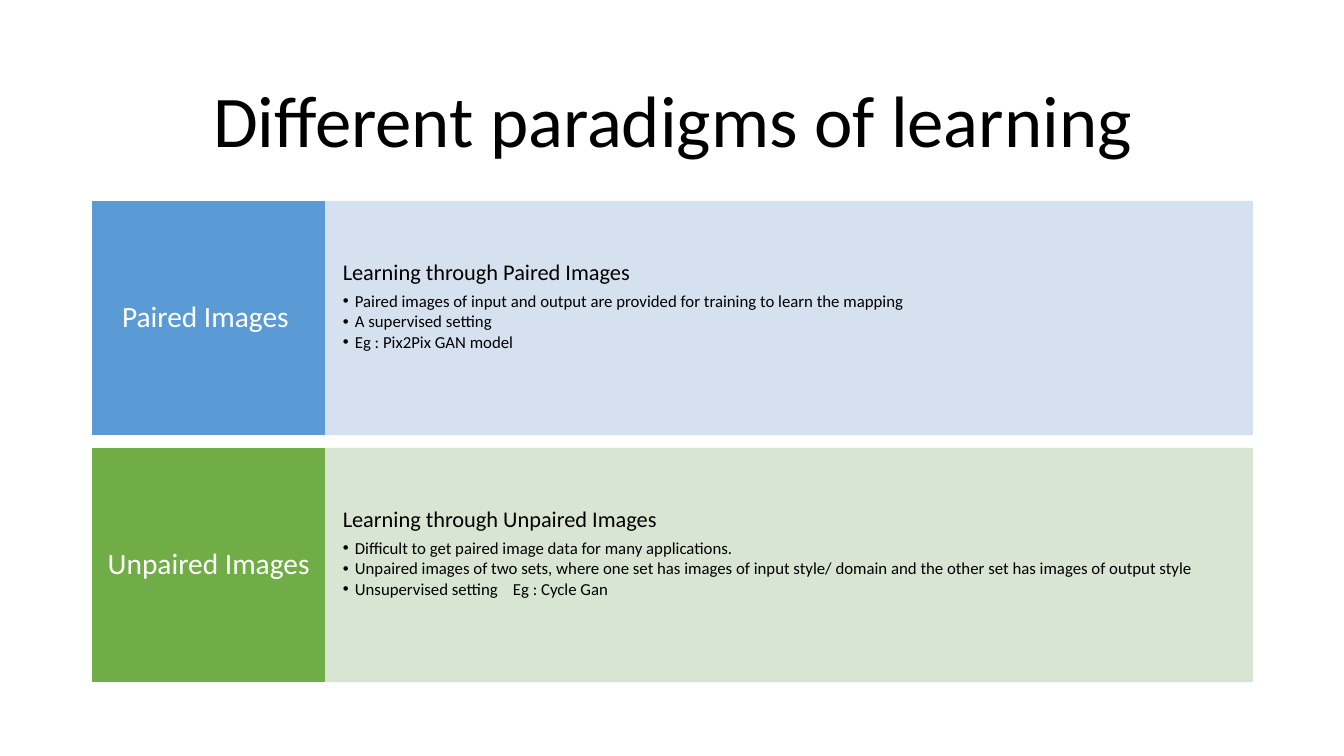
from lxml.etree import SubElement
from pptx import Presentation
from pptx.dml.color import RGBColor
from pptx.enum.shapes import MSO_SHAPE
from pptx.enum.text import MSO_ANCHOR, PP_ALIGN
from pptx.oxml.ns import qn
from pptx.util import Inches, Pt

BLACK = RGBColor(0x00, 0x00, 0x00)
WHITE = RGBColor(0xFF, 0xFF, 0xFF)
BLUE = RGBColor(0x5B, 0x9B, 0xD5)
GREEN = RGBColor(0x70, 0xAD, 0x47)
PALE_BLUE = RGBColor(0xD2, 0xDE, 0xEF)
PALE_GREEN = RGBColor(0xD5, 0xE3, 0xCF)

LEFT, TOP = 0.92, 2
COL, ROW = 2.3, 2.45
HEIGHT = 2.31

TITLE = {"size": Pt(52), "color": BLACK}
LABEL = {"size": Pt(21), "color": WHITE}
HEAD = {"size": Pt(16), "color": BLACK}
ITEM = {"size": Pt(12), "color": BLACK}

PANELS = [
    ("Paired Images ", BLUE, PALE_BLUE, "Learning through Paired Images", [
        "Paired images of input and output are provided for training to learn the mapping",
        "A supervised setting",
        "Eg : Pix2Pix GAN model",
    ]),
    ("Unpaired Images", GREEN, PALE_GREEN, "Learning through Unpaired Images", [
        "Difficult to get paired image data for many applications.",
        "Unpaired images of two sets, where one set has images of input style/ domain "
        "and the other set has images of output style",
        "Unsupervised setting    Eg : Cycle Gan",
    ]),
]


class Board:
    """Holds the slide, its font and a grid of five columns."""

    def __init__(self, slide, face="Calibri"):
        self.slide = slide
        self.face = face

    def place(self, col, row, span):
        return (Inches(LEFT + col * COL), Inches(TOP + row * ROW),
                Inches(span * COL), Inches(HEIGHT))

    def frame(self, shape, side, edge, anchor):
        """Set wrapping, insets and anchor; return the text frame."""
        frame = shape.text_frame
        form = {"word_wrap": True, "vertical_anchor": anchor,
                "margin_left": Inches(side), "margin_right": Inches(side),
                "margin_top": Inches(edge), "margin_bottom": Inches(edge)}
        for name, value in form.items():
            setattr(frame, name, value)
        return frame

    def letter(self, para, text, style, align=PP_ALIGN.LEFT, after=0):
        """Fill a paragraph with one styled run."""
        form = {"alignment": align, "line_spacing": 0.9,
                "space_before": Pt(0), "space_after": Pt(after)}
        for name, value in form.items():
            setattr(para, name, value)
        run = para.add_run()
        run.text = text
        run.font.name = self.face
        run.font.size = style["size"]
        run.font.color.rgb = style["color"]

    def bullet(self, para):
        props = para._p.get_or_add_pPr()
        props.set("marL", str(Inches(0.12)))
        props.set("indent", str(Inches(-0.12)))
        SubElement(props, qn("a:buFont"), typeface="Arial")
        SubElement(props, qn("a:buChar"), char="•")

    def title(self, text):
        box = self.slide.shapes.add_textbox(
            Inches(LEFT), Inches(0.61), Inches(5 * COL), Inches(1.24))
        frame = self.frame(box, 0.1, 0.05, MSO_ANCHOR.MIDDLE)
        self.letter(frame.paragraphs[0], text, TITLE, PP_ALIGN.CENTER)

    def block(self, col, row, span, color, alpha=100):
        shape = self.slide.shapes.add_shape(
            MSO_SHAPE.RECTANGLE, *self.place(col, row, span))
        shape.shadow.inherit = False
        shape.line.width = Pt(1)
        for fill in (shape.fill, shape.line.fill):
            fill.solid()
            fill.fore_color.rgb = color
        if alpha < 100:
            for tint in shape._element.spPr.iter(qn("a:srgbClr")):
                SubElement(tint, qn("a:alpha"), val=str(alpha * 1000))
        return shape

    def label(self, row, text, color):
        shape = self.block(0, row, 1, color)
        frame = self.frame(shape, 0.12, 0.23, MSO_ANCHOR.MIDDLE)
        self.letter(frame.paragraphs[0], text, LABEL, PP_ALIGN.CENTER)

    def body(self, row, color, head, items):
        shape = self.block(1, row, 4, color, 90)
        frame = self.frame(shape, 0.18, 0.59, MSO_ANCHOR.TOP)
        self.letter(frame.paragraphs[0], head, HEAD, after=5.6)
        for item in items:
            para = frame.add_paragraph()
            self.letter(para, item, ITEM, after=1.6)
            self.bullet(para)


def main():
    deck = Presentation()
    deck.slide_width, deck.slide_height = Inches(13.33), Inches(7.5)
    board = Board(deck.slides.add_slide(deck.slide_layouts[6]))
    board.title("Different paradigms of learning")
    for row, (name, color, pale, head, items) in enumerate(PANELS):
        board.body(row, pale, head, items)
        board.label(row, name, color)
    deck.save("out.pptx")


if __name__ == "__main__":
    main()
